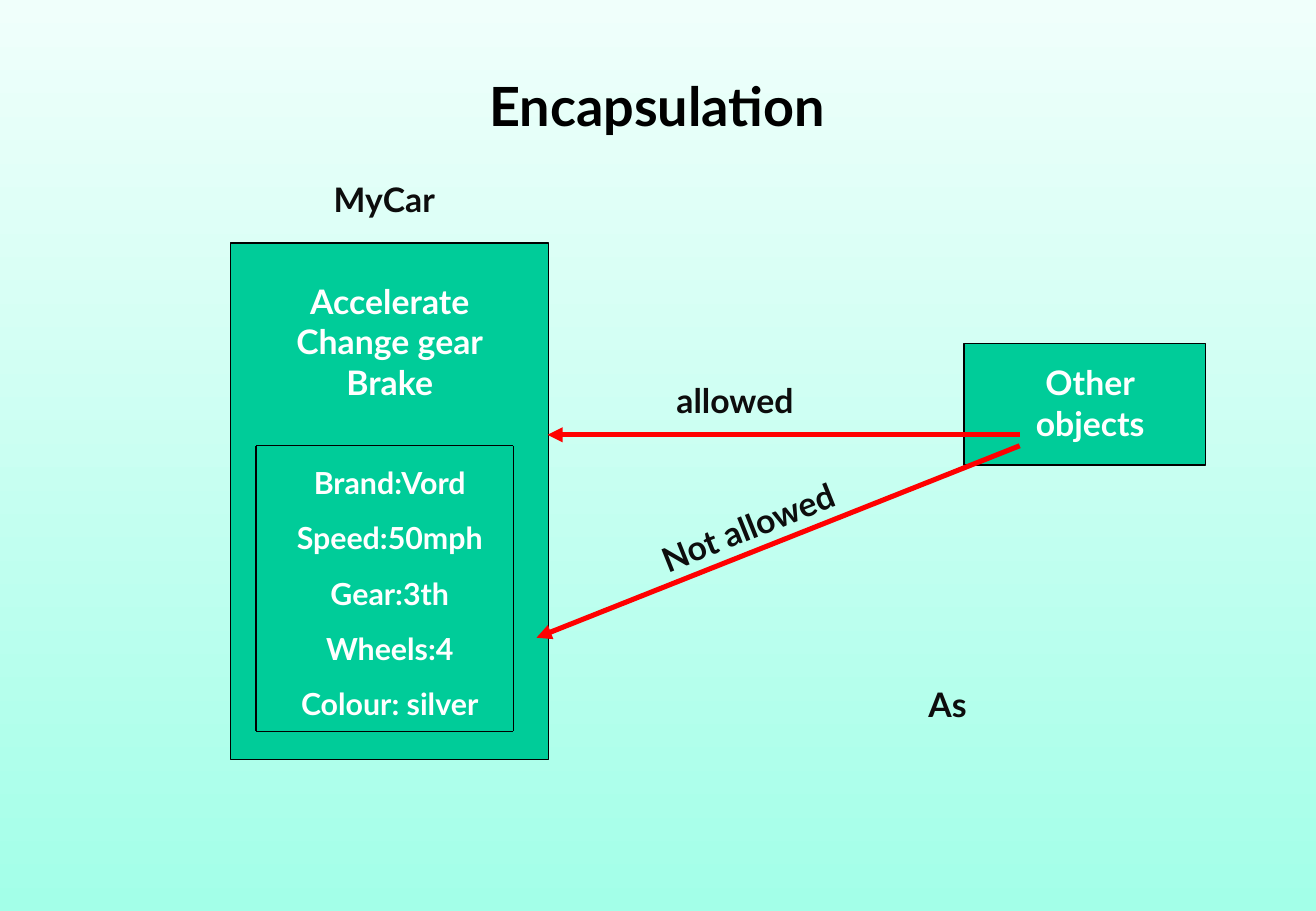
from pptx import Presentation
from pptx.dml.color import RGBColor
from pptx.enum.shapes import MSO_CONNECTOR, MSO_SHAPE
from pptx.enum.text import MSO_ANCHOR, PP_ALIGN
from pptx.oxml.ns import qn
from pptx.util import Inches, Pt
from lxml.etree import SubElement

HUES = {"top": "F0FFFB", "base": "A3FFE8", "box": "00CC99", "edge": "000000",
        "ink": "0D0D0D", "pale": "FFFFFF", "arrow": "FF0000"}
WIDE, HIGH = Inches(10.84), Inches(7.5)
ROW = 5.87

BOXES = {"car": (17.53, 26.67, 24.17, 56.67), "other": (73.25, 37.73, 18.36, 13.33)}
ACTS = ["Accelerate", "Change gear", "Brake"]
FACTS = ["Brand:Vord", "Speed:50mph", "Gear:3th", "Wheels:4", "Colour: silver"]
LEFT, TOP, RIGHT, LOW = 19.46, 48.93, 39.02, 80.27
FRAME = [(LEFT, TOP, LEFT, LOW), (LEFT, LOW, RIGHT, LOW),
         (LEFT, TOP, RIGHT, TOP), (RIGHT, TOP, RIGHT, LOW)]
ARROWS = [(77.49, 47.73, 41.61, 47.73), (77.49, 48.93, 40.77, 70)]
LABELS = [
    ("Encapsulation", (0, 7.33, 99.9, 11.2), 32, "edge", 0),
    ("MyCar", (16.7, 18.93, 25, ROW), 20, "ink", 0),
    ("Other\vobjects", (74.08, 39.07, 17.53, 10.27), 20, "pale", 0),
    ("allowed", (47.51, 41.07, 16.7, ROW), 20, "ink", 0),
    ("Not allowed", (42.71, 54.93, 28.23, ROW), 20, "ink", 338.1),
    ("As", (44.1, 74.4, 55.81, ROW), 20, "ink", 0),
]


def tint(name):
    return RGBColor.from_string(HUES[name])


def place(area):
    return [round(side * part / 100) for side, part in zip((WIDE, HIGH) * 2, area)]


def write(para, text, size, hue, gap=0):
    para.text = text
    para.alignment = PP_ALIGN.CENTER
    para.space_before = Pt(gap)
    for key, value in {"name": "Lato", "size": Pt(size), "bold": True}.items():
        for run in para.runs:
            setattr(run.font, key, value)
            run.font.color.rgb = tint(hue)


def draw_box(slide, area):
    box = slide.shapes.add_shape(MSO_SHAPE.RECTANGLE, *place(area))
    box.shadow.inherit = False
    box.fill.solid()
    box.fill.fore_color.rgb = tint("box")
    box.line.color.rgb = tint("edge")
    box.line.width = Pt(0.75)
    return box


def draw_line(slide, ends, hue, width, head=False):
    line = slide.shapes.add_connector(MSO_CONNECTOR.STRAIGHT, *place(ends))
    line.line.color.rgb = tint(hue)
    line.line.width = Pt(width)
    if head:
        SubElement(line.line._get_or_add_ln(), qn("a:tailEnd"), type="triangle")
    SubElement(line._element.spPr, qn("a:effectLst"))


def draw_label(slide, text, area, size, hue, turn):
    label = slide.shapes.add_textbox(*place(area))
    label.rotation = turn
    label.text_frame.word_wrap = True
    write(label.text_frame.paragraphs[0], text, size, hue)


def fill_car(box):
    frame = box.text_frame
    frame.word_wrap = False
    frame.vertical_anchor = MSO_ANCHOR.MIDDLE
    rows = [(act, 20, 0) for act in ACTS]
    rows += [(fact, 18, 11.2 if rank else 36.8) for rank, fact in enumerate(FACTS)]
    for rank, (text, size, gap) in enumerate(rows):
        para = frame.add_paragraph() if rank else frame.paragraphs[0]
        write(para, text, size, "pale", gap)


def main():
    deck = Presentation()
    deck.slide_width, deck.slide_height = WIDE, HIGH
    slide = deck.slides.add_slide(deck.slide_layouts[6])
    back = slide.background.fill
    back.gradient()
    back.gradient_angle = 270
    for stop, hue, spot in zip(back.gradient_stops, ("top", "base"), (0, 1)):
        stop.color.rgb = tint(hue)
        stop.position = spot
    fill_car(draw_box(slide, BOXES["car"]))
    for ends in FRAME:
        draw_line(slide, ends, "edge", 0.75)
    draw_box(slide, BOXES["other"])
    for label in LABELS:
        draw_label(slide, *label)
    for ends in ARROWS:
        draw_line(slide, ends, "arrow", 3, True)
    deck.save("out.pptx")


if __name__ == "__main__":
    main()
